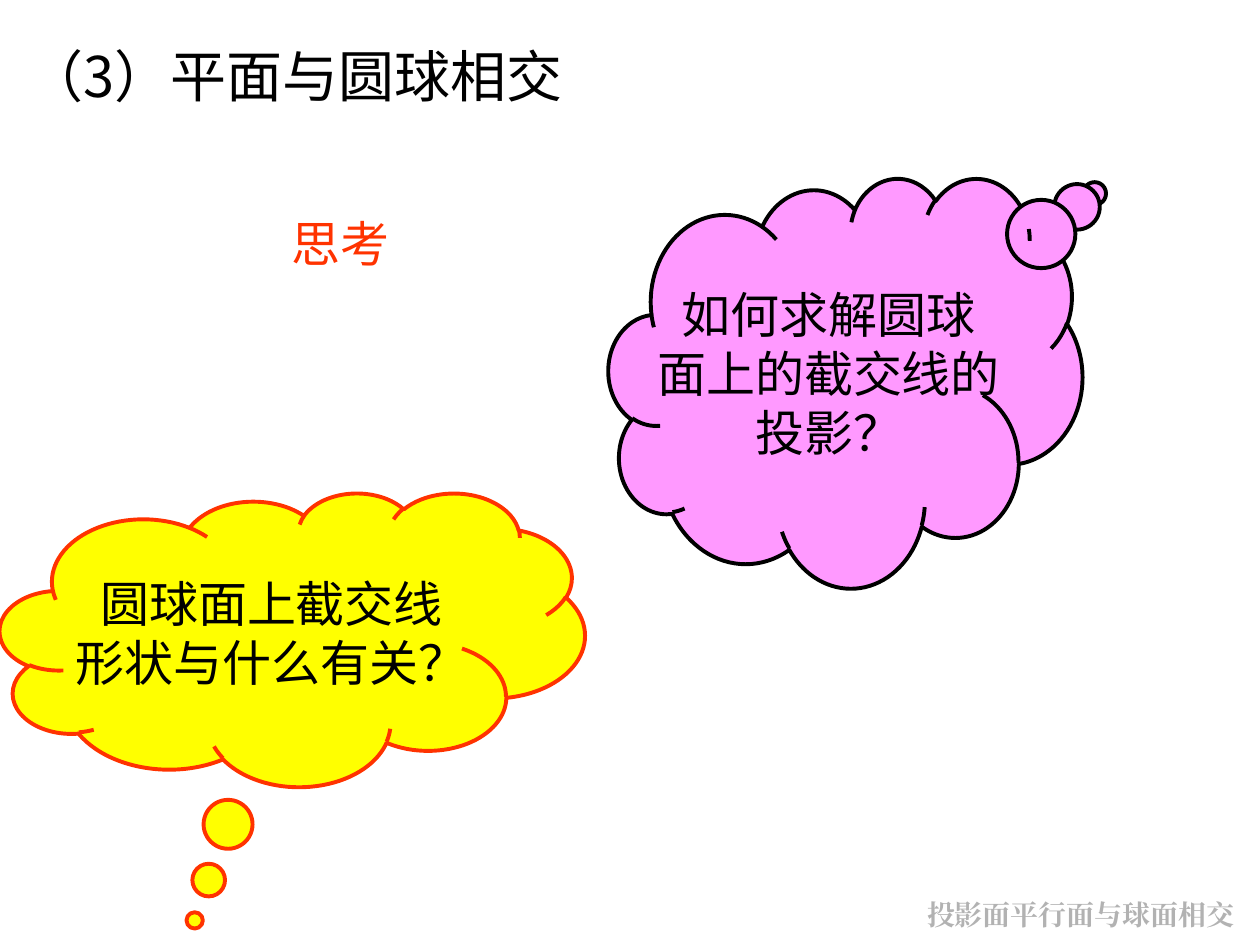
"""Build the slide on the intersection of a plane and a sphere."""
from lxml.etree import SubElement
from pptx import Presentation
from pptx.dml.color import RGBColor
from pptx.enum.shapes import MSO_SHAPE as Shape
from pptx.enum.text import MSO_ANCHOR as Anchor, MSO_AUTO_SIZE as AutoSize, PP_ALIGN as Align
from pptx.oxml.ns import qn
from pptx.util import Cm, Pt

BLACK = RGBColor(0x00, 0x00, 0x00)
RED = RGBColor(0xFF, 0x33, 0x00)
YELLOW = RGBColor(0xFF, 0xFF, 0x00)
PINK = RGBColor(0xFF, 0x99, 0xFF)
GRAY = RGBColor(0xB2, 0xB2, 0xB2)
CJK_FONT = "Noto Sans CJK SC"
LATIN_FONT = "Times New Roman"


def write(frame, text, size, color, align=Align.LEFT, font_name=CJK_FONT, bold=False):
    frame.text = text
    for paragraph in frame.paragraphs:
        paragraph.alignment = align
        for run in paragraph.runs:
            font = run.font
            font.size = Pt(size)
            font.bold = bold
            font.color.rgb = color
            font.name = font_name
            SubElement(font._element, qn("a:ea")).set("typeface", font_name)


prs = Presentation()
prs.slide_width, prs.slide_height = Cm(25.4), Cm(19.05)
slide = prs.slides.add_slide(prs.slide_layouts[5])

think = slide.shapes.title
think.left, think.top, think.width, think.height = Cm(0.3), Cm(3.73), Cm(13.13), Cm(2.34)
think.text_frame.vertical_anchor = Anchor.MIDDLE
think.text_frame.auto_size = AutoSize.NONE
write(think.text_frame, "思考", 28, RED, Align.CENTER)

questions = [
    ("圆球面上截交线\n形状与什么有关？", (0, 9.93, 11.79, 5.92), (-0.167, 0.957), YELLOW, RED),
    ("如何求解圆球\n面上的截交线的\n投影？", (12.27, 3.58, 9.55, 8.26), (0.526, -0.461), PINK, BLACK),
]
for question, box, tail, fill, outline in questions:
    cloud = slide.shapes.add_shape(Shape.CLOUD_CALLOUT, *map(Cm, box))
    cloud.adjustments[0], cloud.adjustments[1] = tail
    cloud.shadow.inherit = False
    cloud.fill.solid()
    cloud.fill.fore_color.rgb = fill
    cloud.line.color.rgb = outline
    cloud.line.width = Pt(2.25)
    cloud.text_frame.word_wrap = False
    cloud.text_frame.vertical_anchor = Anchor.MIDDLE
    write(cloud.text_frame, question, 28, BLACK, Align.CENTER)

heading = slide.shapes.add_textbox(Cm(0.3), Cm(0.71), Cm(20.96), Cm(1.6)).text_frame
heading.word_wrap = True
heading.auto_size = AutoSize.SHAPE_TO_FIT_TEXT
write(heading, "（3）平面与圆球相交", 32, BLACK)

topic = slide.shapes.add_textbox(Cm(18.44), Cm(17.96), Cm(6.76), Cm(0.94)).text_frame
topic.word_wrap = False
topic.auto_size = AutoSize.SHAPE_TO_FIT_TEXT
write(topic, "投影面平行面与球面相交", 16, GRAY, font_name=LATIN_FONT, bold=True)

prs.save("out.pptx")
